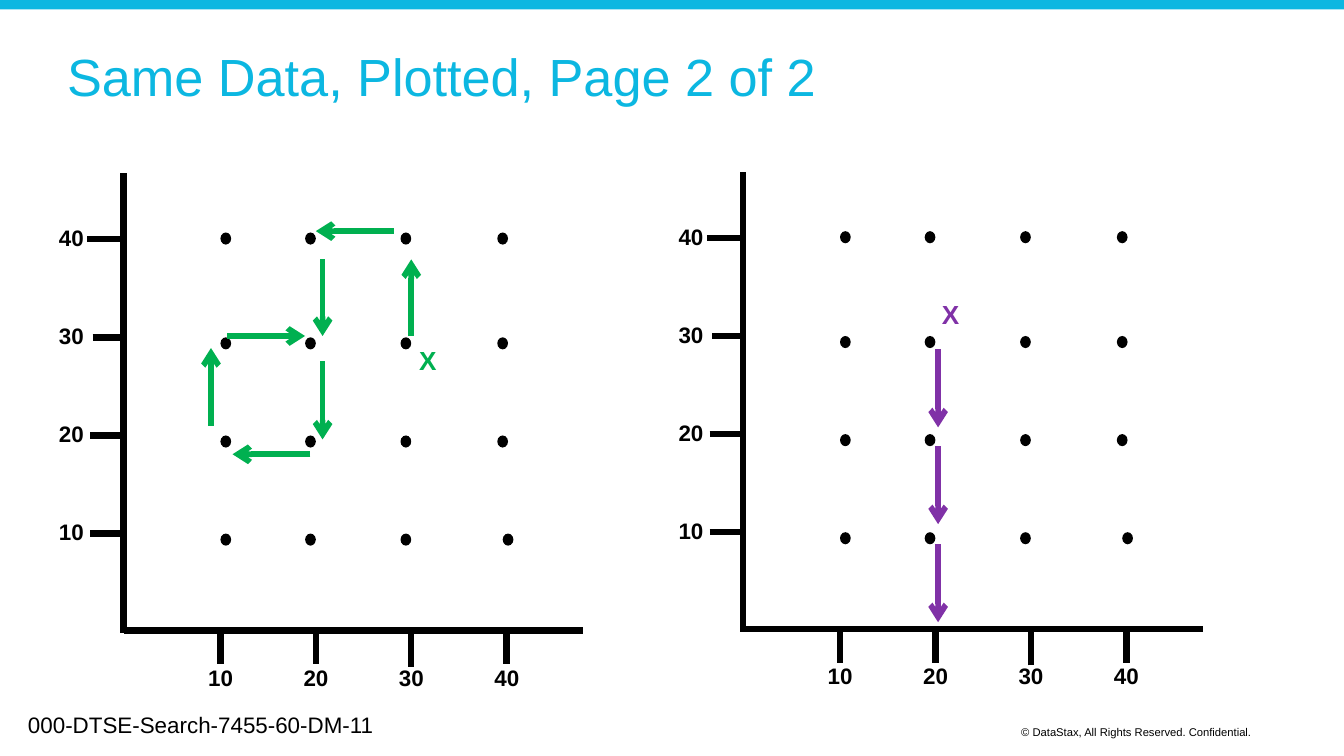
"""Build a slide with two dot grids, each showing a path walked from a starting X."""
from dataclasses import dataclass
from typing import Any

from lxml.etree import SubElement
from pptx import Presentation
from pptx.dml.color import RGBColor
from pptx.enum.shapes import MSO_CONNECTOR, MSO_SHAPE
from pptx.enum.text import MSO_ANCHOR, MSO_AUTO_SIZE
from pptx.oxml.ns import qn
from pptx.util import Inches, Pt

COLORS = {"cyan": "0CB7E1", "black": "000000", "green": "00B050", "purple": "8031A7"}
FONT = "Arial"
AXIS_LEFT, AXIS_TOP, AXIS_RIGHT, AXIS_BASE = 0.92, 1.29, 4.34, 4.69
COLUMN_STEP, ROW_STEP = 0.71, 0.73
TICK_LENGTH = 0.25
ROW_TICK_LEFTS = (0.67, 0.67, 0.69, 0.65)
COLUMN_TICK_DROPS = (0, 0, 0.02, 0)
DOT_LEFTS = (1.64, 2.27, 2.98, 3.70)
DOT_TOPS = (3.97, 3.24, 2.51, 1.73)
CORNER_DOT_SHIFT = 0.04


@dataclass
class Segment:
    x1: float
    y1: float
    x2: float
    y2: float


@dataclass
class Plot:
    shift_x: float
    shift_y: float
    color: str
    start_left: float
    start_top: float
    steps: list[Segment]


PLOTS = [
    Plot(0, 0, "green", 3.02, 2.51, [
        Segment(3.06, 2.50, 3.06, 1.93),
        Segment(1.69, 2.50, 2.27, 2.50),
        Segment(2.40, 1.93, 2.40, 2.50),
        Segment(2.93, 1.72, 2.35, 1.72),
        Segment(2.40, 2.69, 2.40, 3.27),
        Segment(2.31, 3.38, 1.73, 3.38),
        Segment(1.57, 3.17, 1.57, 2.59),
    ]),
    Plot(4.61, -0.01, "purple", 2.30, 2.18,
         [Segment(2.37, top, 2.37, top + 0.58) for top in (2.61, 3.33, 4.06)]),
]


def rgb(name: str) -> RGBColor:
    return RGBColor.from_string(COLORS[name])


def add_text(shapes: Any, text: str, left: float, top: float, width: float, height: float,
             size: float, color: str = "black", bold: bool = False, wrap: bool = True) -> Any:
    box = shapes.add_textbox(Inches(left), Inches(top), Inches(width), Inches(height))
    frame = box.text_frame
    frame.word_wrap = wrap
    frame.auto_size = MSO_AUTO_SIZE.NONE if wrap else MSO_AUTO_SIZE.SHAPE_TO_FIT_TEXT
    span = frame.paragraphs[0].add_run()
    span.text = text
    span.font.name = FONT
    span.font.size = Pt(size)
    span.font.bold = bold
    span.font.color.rgb = rgb(color)
    return box


def add_solid(shapes: Any, kind: MSO_SHAPE, left: float, top: float,
              width: float, height: float, color: str) -> None:
    shape = shapes.add_shape(kind, Inches(left), Inches(top), Inches(width), Inches(height))
    shape.shadow.inherit = False
    shape.fill.solid()
    shape.fill.fore_color.rgb = rgb(color)
    shape.line.fill.background()


def add_line(shapes: Any, plot: Plot, segment: Segment, color: str = "black",
             width: float = 3.5, arrow: bool = False) -> None:
    line = shapes.add_connector(
        MSO_CONNECTOR.STRAIGHT,
        Inches(segment.x1 + plot.shift_x), Inches(segment.y1 + plot.shift_y),
        Inches(segment.x2 + plot.shift_x), Inches(segment.y2 + plot.shift_y))
    line.line.color.rgb = rgb(color)
    line.line.width = Pt(width)
    properties = line._element.spPr
    if arrow:
        SubElement(properties.find(qn("a:ln")), qn("a:tailEnd"), type="arrow")
    SubElement(properties, qn("a:effectLst"))


def add_axes(shapes: Any, plot: Plot) -> None:
    add_line(shapes, plot, Segment(AXIS_LEFT, AXIS_TOP, AXIS_LEFT, AXIS_BASE + 0.02))
    add_line(shapes, plot, Segment(AXIS_LEFT, AXIS_BASE, AXIS_RIGHT, AXIS_BASE))
    for index, (left, drop) in enumerate(zip(ROW_TICK_LEFTS, COLUMN_TICK_DROPS), start=1):
        x = AXIS_LEFT + 0.01 + COLUMN_STEP * index
        y = AXIS_BASE + 0.01 - ROW_STEP * index
        base = AXIS_BASE + drop
        add_line(shapes, plot, Segment(left, y, left + TICK_LENGTH, y))
        add_line(shapes, plot, Segment(x, base + TICK_LENGTH, x, base))
        for label_left, label_top in ((0.34, y - 0.16), (x - 0.19, 4.89)):
            add_text(shapes, str(index * 10), label_left + plot.shift_x,
                     label_top + plot.shift_y, 0.39, 0.3, 12, bold=True, wrap=False)


def add_dots(shapes: Any, plot: Plot) -> None:
    for row, top in enumerate(DOT_TOPS):
        for column, left in enumerate(DOT_LEFTS):
            nudge = CORNER_DOT_SHIFT if (row, column) == (0, 3) else 0
            add_solid(shapes, MSO_SHAPE.OVAL, left + nudge + plot.shift_x,
                      top + plot.shift_y, 0.08, 0.09, "black")


def add_plot(page: Any, plot: Plot) -> None:
    shapes = page.shapes.add_group_shape().shapes
    add_axes(shapes, plot)
    add_dots(shapes, plot)
    add_text(shapes, "X", plot.start_left + plot.shift_x, plot.start_top + plot.shift_y,
             0.33, 0.34, 14, plot.color, bold=True, wrap=False)
    for step in plot.steps:
        add_line(shapes, plot, step, plot.color, width=3, arrow=True)


def add_title(page: Any) -> None:
    title = add_text(page.shapes, "Same Data, Plotted, Page 2 of 2", 0.5, 0.3, 9, 0.6, 28, "cyan")
    frame = title.text_frame
    frame.vertical_anchor = MSO_ANCHOR.BOTTOM
    frame.margin_left = Inches(0)
    frame.margin_top = frame.margin_right = frame.margin_bottom = Inches(0.1)
    frame.paragraphs[0].line_spacing = 0.9


def main() -> None:
    deck = Presentation()
    deck.slide_width = Inches(10)
    deck.slide_height = Inches(10 * 9 / 16)
    page = deck.slides.add_slide(deck.slide_layouts[6])
    add_solid(page.shapes, MSO_SHAPE.RECTANGLE, 0, 0, 10, 0.07, "cyan")
    add_title(page)
    add_text(page.shapes, "000-DTSE-Search-7455-60-DM-11", 0.11, 5.24, 4.69, 0.3, 12)
    add_text(page.shapes, "© DataStax, All Rights Reserved. Confidential.",
             7.5, 5.35, 2.25, 0.21, 6)
    for plot in PLOTS:
        add_plot(page, plot)
    deck.save("out.pptx")


if __name__ == "__main__":
    main()
